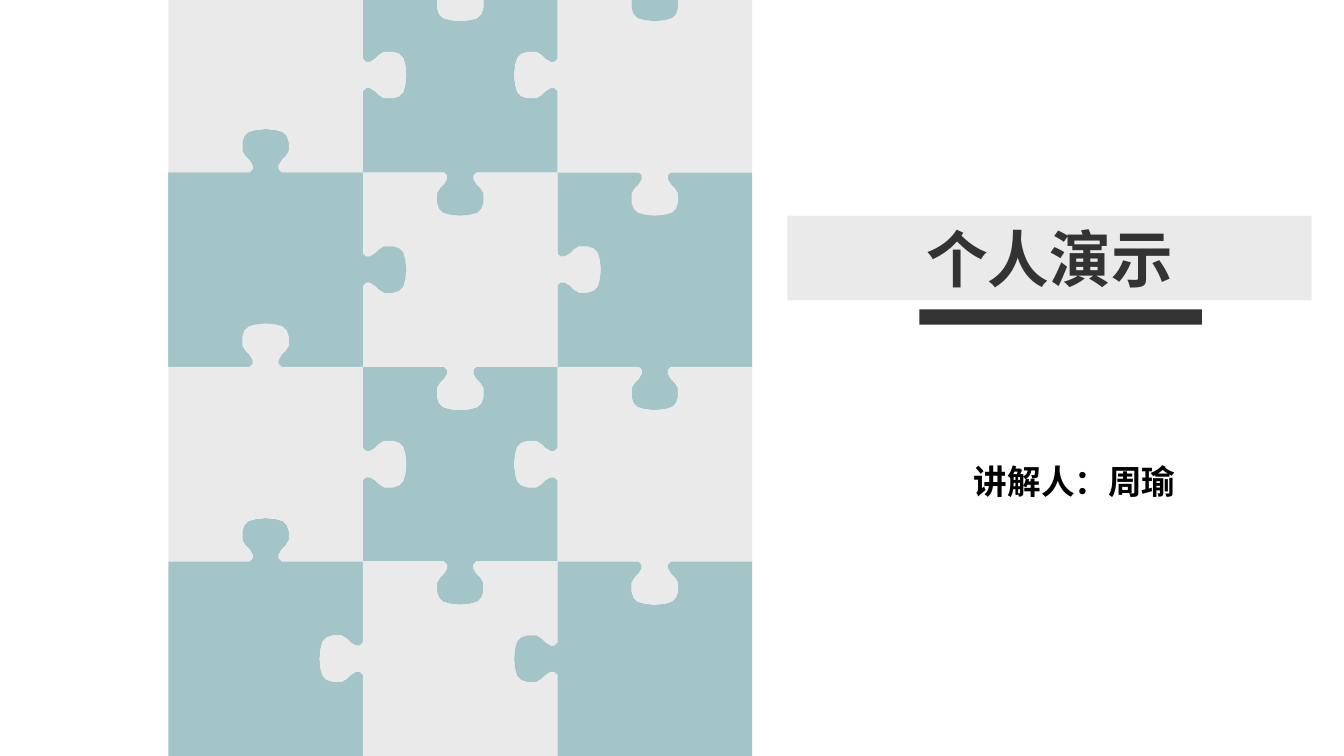
from dataclasses import dataclass

from pptx import Presentation
from pptx.dml.color import RGBColor
from pptx.enum.shapes import MSO_SHAPE as Preset
from pptx.enum.text import MSO_ANCHOR as Anchor, MSO_AUTO_SIZE as AutoSize, PP_ALIGN as Align
from pptx.util import Inches, Pt


@dataclass(frozen=True)
class Theme:
    teal: str = "A3C5C7"
    pale: str = "EAEAEA"
    dark: str = "333333"
    black: str = "000000"
    font: str = "Arial"
    title_size: int = 44
    speaker_size: int = 24


PITCH = 1.93
PUZZLE_LEFT, PUZZLE_TOP = 1.67, -0.22
HALF_KNOB = [(-0.16, 0), (-0.13, 0.03), (-0.13, 0.07), (-0.16, 0.12), (-0.2, 0.16),
             (-0.23, 0.21), (-0.23, 0.3), (-0.21, 0.36), (-0.17, 0.4), (-0.1, 0.42)]
KNOB = HALF_KNOB + [(0, 0.43)] + [(-along, out) for along, out in reversed(HALF_KNOB)]

TAB, FLAT, HOLE = 1, 0, -1
SIDE_DIRECTIONS = [(1, 0), (0, 1), (-1, 0), (0, -1)]
CORNERS = [(0, 0), (1, 0), (1, 1), (0, 1)]

LOWER_TILES = [
    (0, 1, "teal", (TAB, HOLE, FLAT, FLAT)),
    (1, 2, "teal", (HOLE, HOLE, TAB, HOLE)),
    (1, 1, "pale", (FLAT, TAB, TAB, HOLE)),
    (0, 1, "teal", (FLAT, TAB, HOLE, FLAT)),
    (0, 3, "teal", (TAB, HOLE, FLAT, FLAT)),
    (1, 3, "pale", (HOLE, HOLE, FLAT, TAB)),
    (2, 3, "teal", (HOLE, FLAT, FLAT, TAB)),
    (2, 1, "teal", (FLAT, FLAT, TAB, HOLE)),
    (0, 2, "pale", (TAB, TAB, HOLE, FLAT)),
    (2, 2, "pale", (HOLE, FLAT, TAB, TAB)),
]
UPPER_TILES = [
    (1, 0, "teal", (HOLE, HOLE, TAB, HOLE)),
    (0, 0, "pale", (TAB, TAB, HOLE, FLAT)),
    (2, 0, "pale", (HOLE, FLAT, TAB, TAB)),
    (1, -1, "pale", (FLAT, TAB, TAB, HOLE)),
    (2, -1, "teal", (FLAT, FLAT, TAB, HOLE)),
]


def tile_outline(column, row, sides):
    outline = []
    for (corner_x, corner_y), (dx, dy), side in zip(CORNERS, SIDE_DIRECTIONS, sides):
        x = PUZZLE_LEFT + PITCH * (column + corner_x)
        y = PUZZLE_TOP + PITCH * (row + corner_y)
        outline.append((x, y))
        for along, out in KNOB if side else []:
            along, out = PITCH / 2 + along, out * side
            outline.append((x + dx * along + dy * out, y + dy * along - dx * out))
    return outline


class Cover:
    def __init__(self, slide, theme):
        self.shapes = slide.shapes
        self.theme = theme

    def paint(self, shape, colour):
        shape.shadow.inherit = False
        shape.fill.solid()
        shape.fill.fore_color.rgb = RGBColor.from_string(colour)
        shape.line.fill.background()
        return shape

    def tile(self, column, row, colour, sides):
        start, *rest = [(Inches(x), Inches(y)) for x, y in tile_outline(column, row, sides)]
        builder = self.shapes.build_freeform(*start)
        builder.add_line_segments(rest, close=True)
        self.paint(builder.convert_to_shape(), getattr(self.theme, colour))

    def bar(self, box, colour):
        return self.paint(self.shapes.add_shape(Preset.RECTANGLE, *map(Inches, box)), colour)

    def label(self, box):
        return self.shapes.add_textbox(*map(Inches, box))

    def set_text(self, shape, words, size, colour, align, frame_format):
        frame = shape.text_frame
        for key, value in frame_format.items():
            setattr(frame, key, value)
        paragraph = frame.paragraphs[0]
        paragraph.alignment = align
        run = paragraph.add_run()
        run.text = words
        for key, value in {"name": self.theme.font, "size": Pt(size), "bold": True}.items():
            setattr(run.font, key, value)
        run.font.color.rgb = RGBColor.from_string(colour)


def main():
    deck = Presentation()
    deck.slide_width, deck.slide_height = Inches(13.33), Inches(7.5)
    theme = Theme()
    cover = Cover(deck.slides.add_slide(deck.slide_layouts[6]), theme)

    for tile in LOWER_TILES:
        cover.tile(*tile)
    title = cover.bar((7.81, 2.14, 5.2, 0.84), theme.pale)
    cover.set_text(title, "个人演示", theme.title_size, theme.dark, Align.CENTER,
                   {"word_wrap": True, "auto_size": AutoSize.SHAPE_TO_FIT_TEXT,
                    "vertical_anchor": Anchor.MIDDLE})
    for tile in UPPER_TILES:
        cover.tile(*tile)
    cover.bar((9.12, 3.07, 2.8, 0.15), theme.dark)
    speaker = cover.label((9.56, 4.52, 2.21, 0.5))
    cover.set_text(speaker, "讲解人：周瑜", theme.speaker_size, theme.black, Align.LEFT,
                   {"word_wrap": False, "auto_size": AutoSize.SHAPE_TO_FIT_TEXT})

    deck.save("out.pptx")


if __name__ == "__main__":
    main()
